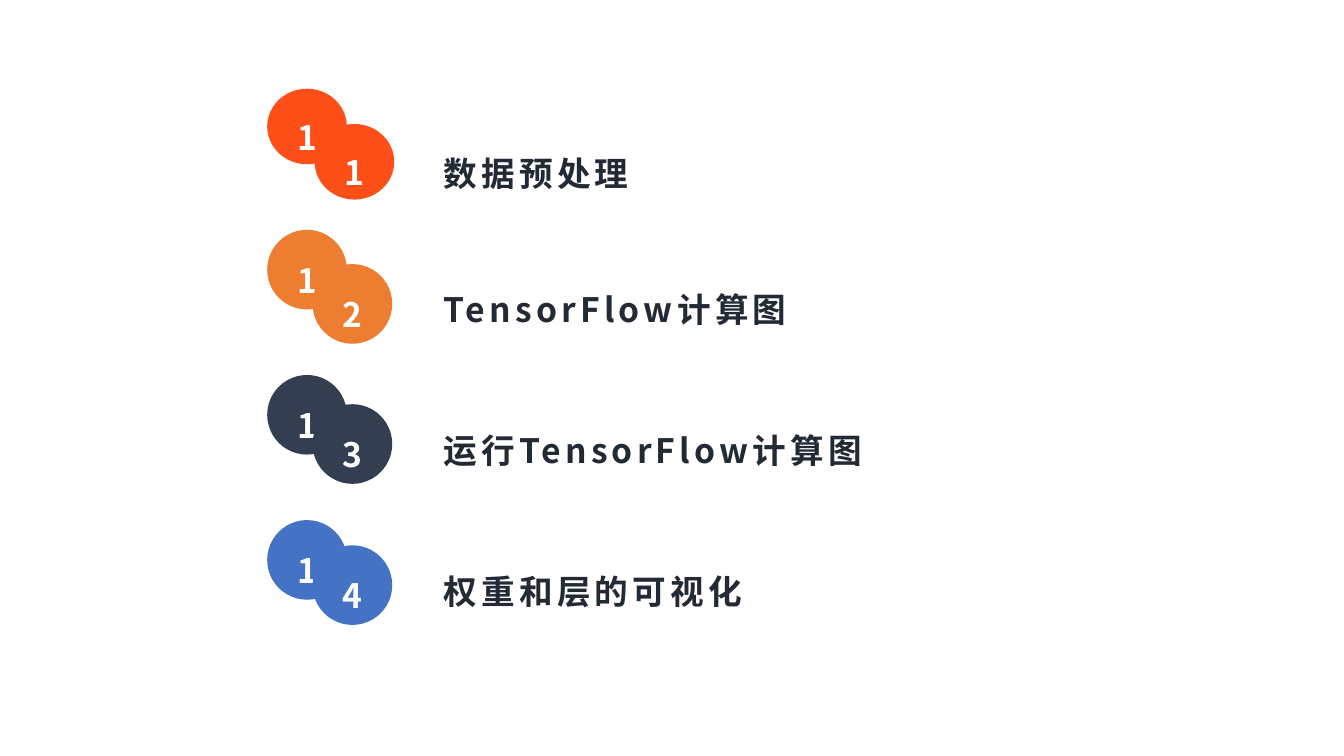
from pptx import Presentation
from pptx.dml.color import RGBColor
from pptx.enum.shapes import MSO_SHAPE
from pptx.enum.text import MSO_ANCHOR, MSO_AUTO_SIZE, PP_ALIGN
from pptx.oxml.ns import qn
from pptx.util import Inches, Pt
from lxml import etree

FONT = "Noto Sans CJK SC"
WHITE = RGBColor(0xFF, 0xFF, 0xFF)
INK = RGBColor(0x22, 0x2A, 0x35)
RED = RGBColor(0xFF, 0x4F, 0x19)
ORANGE = RGBColor(0xED, 0x7D, 0x31)
SLATE = RGBColor(0x33, 0x3F, 0x50)
BLUE = RGBColor(0x44, 0x72, 0xC4)

CHAPTER = "1"
CHAPTER_LEFT, LABEL_LEFT = 2.65, 4.3
CIRCLE_WIDTH = 0.79
LABEL_SIZE = (4.79, 0.67)

# Label, colour, chapter circle top, section circle left and top, circle height, label top
SECTIONS = [
    ("数据预处理", RED, 0.88, 3.12, 1.23, 0.75, 1.27),
    ("TensorFlow计算图", ORANGE, 2.28, 3.1, 2.62, 0.79, 2.62),
    ("运行TensorFlow计算图", SLATE, 3.72, 3.1, 4.01, 0.79, 4.01),
    ("权重和层的可视化", BLUE, 5.16, 3.1, 5.41, 0.79, 5.41),
]


def set_all(target, values):
    for name, value in values.items():
        setattr(target, name, value)


def write_text(shape, text, color, align, anchor, side_margin):
    frame = shape.text_frame
    set_all(frame, {
        "word_wrap": True, "auto_size": MSO_AUTO_SIZE.NONE,
        "vertical_anchor": anchor,
        "margin_left": Inches(side_margin), "margin_right": Inches(side_margin),
        "margin_top": Inches(0.05), "margin_bottom": Inches(0.05),
    })
    para = frame.paragraphs[0]
    set_all(para, {"alignment": align, "line_spacing": 1.5,
                   "space_before": Pt(0), "space_after": Pt(0)})
    # No bullet and no hanging indent
    properties = para._p.get_or_add_pPr()
    properties.set("marL", "0")
    properties.set("indent", "0")
    etree.SubElement(properties, qn("a:buNone"))
    span = para.add_run()
    span.text = text
    set_all(span.font, {"name": FONT, "size": Pt(24), "bold": True})
    span.font.color.rgb = color
    # Letter spacing and East Asian font
    run_properties = span._r.get_or_add_rPr()
    run_properties.set("spc", "300")
    etree.SubElement(run_properties, qn("a:ea")).set("typeface", FONT)


def add_circle(page, left, top, height, color, number):
    circle = page.shapes.add_shape(
        MSO_SHAPE.OVAL, Inches(left), Inches(top),
        Inches(CIRCLE_WIDTH), Inches(height))
    circle.shadow.inherit = False
    circle.fill.solid()
    circle.fill.fore_color.rgb = color
    circle.line.fill.background()
    write_text(circle, number, WHITE, PP_ALIGN.CENTER, MSO_ANCHOR.MIDDLE, 0)


def place_label(label, top, text):
    width, height = LABEL_SIZE
    set_all(label, {"left": Inches(LABEL_LEFT), "top": Inches(top),
                    "width": Inches(width), "height": Inches(height)})
    write_text(label, text, INK, PP_ALIGN.LEFT, MSO_ANCHOR.TOP, 0.1)


def main():
    deck = Presentation()
    deck.slide_width, deck.slide_height = Inches(13.33), Inches(7.5)

    # The comparison layout has four body placeholders, one for each section
    page = deck.slides.add_slide(deck.slide_layouts[4])
    title, *labels = page.placeholders
    title.element.getparent().remove(title.element)

    # Section rows
    for number, (label, section) in enumerate(zip(labels, SECTIONS), 1):
        text, color, chapter_top, left, top, height, label_top = section
        add_circle(page, CHAPTER_LEFT, chapter_top, height, color, CHAPTER)
        add_circle(page, left, top, height, color, str(number))
        place_label(label, label_top, text)

    deck.save("out.pptx")


if __name__ == "__main__":
    main()
